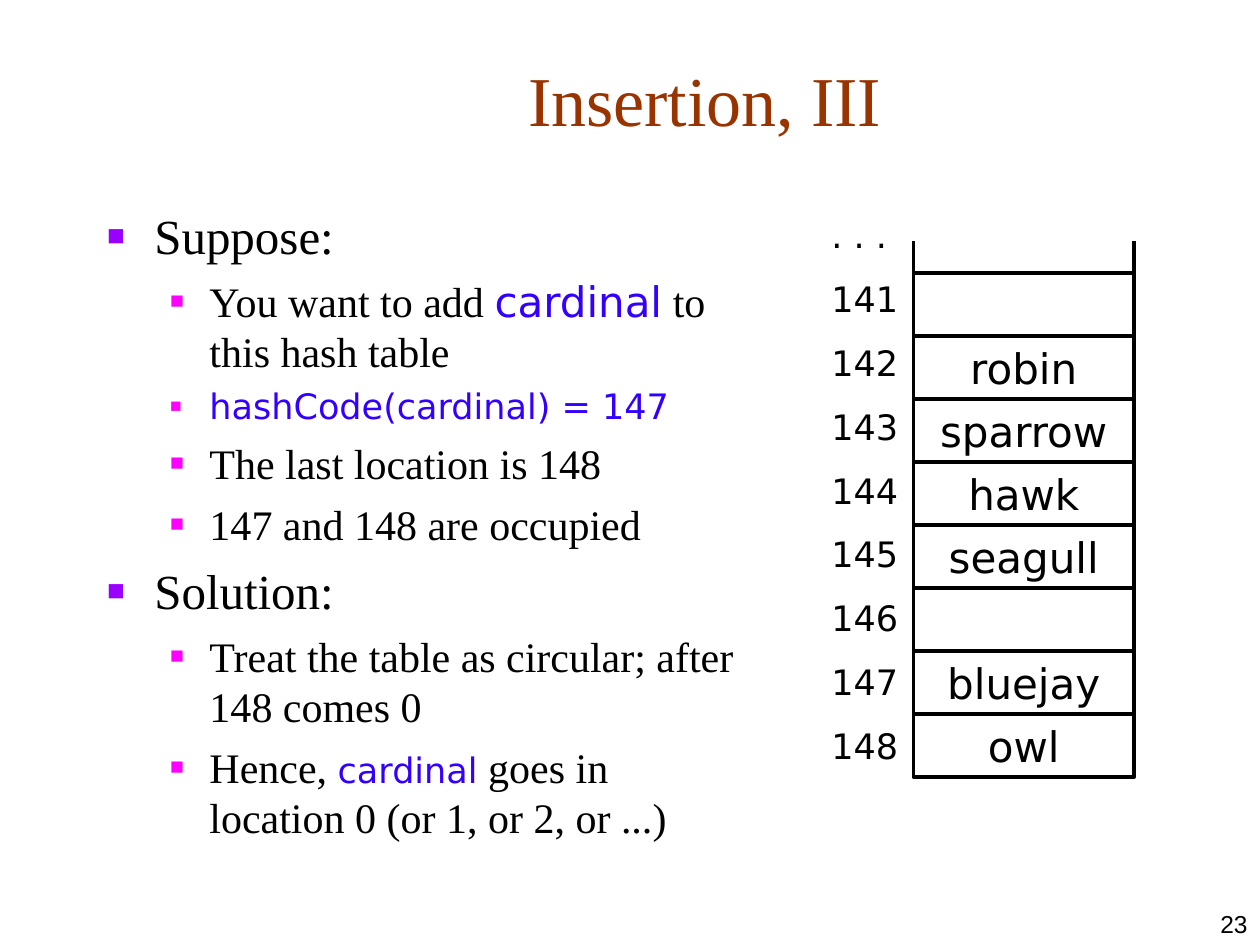
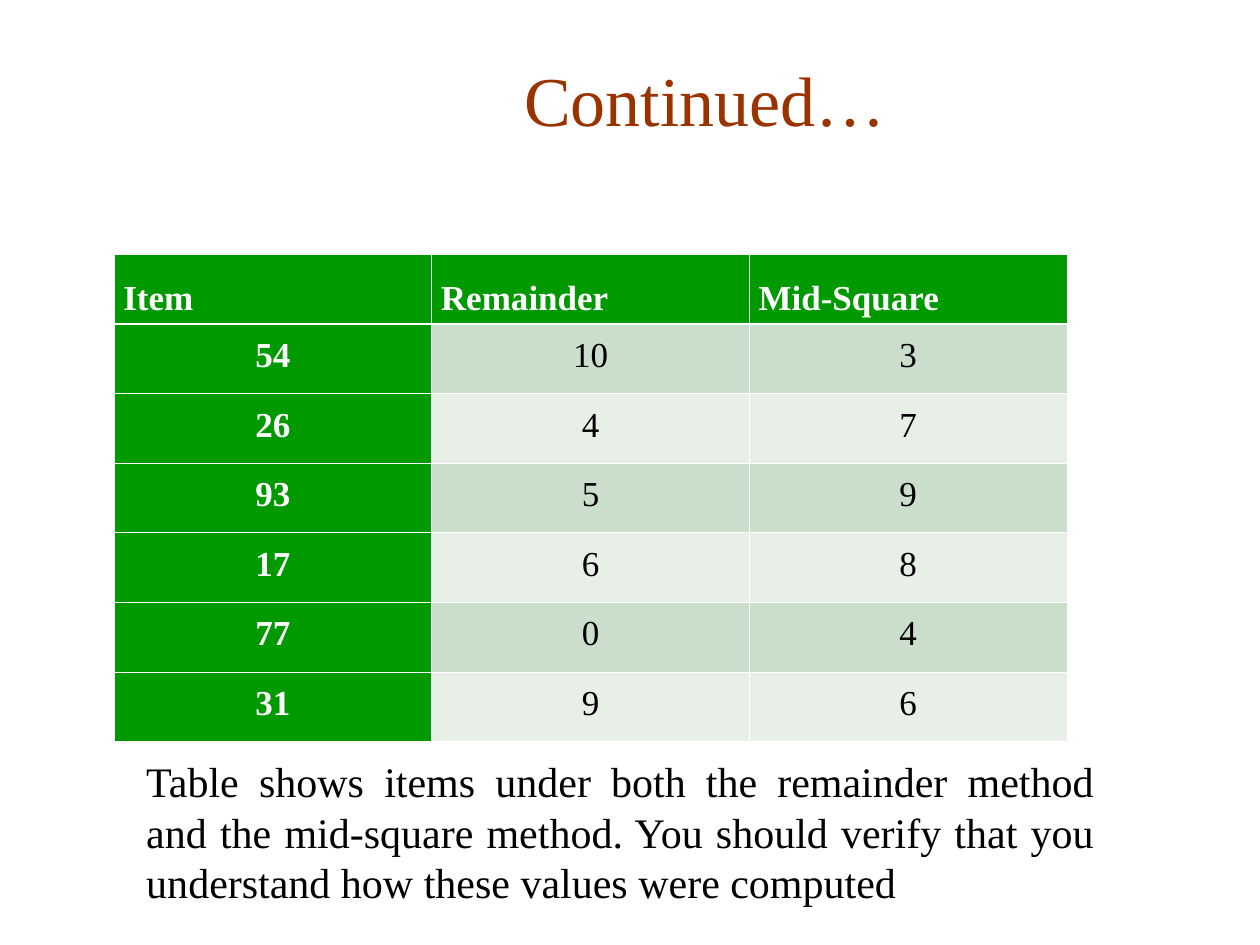
from lxml import etree
from pptx import Presentation
from pptx.dml.color import RGBColor
from pptx.enum import shapes, text
from pptx.oxml import ns
from pptx.util import Emu, Pt

PX = 9525
BLACK = RGBColor(0x00, 0x00, 0x00)
WHITE = RGBColor(0xFF, 0xFF, 0xFF)
RUST = RGBColor(0x99, 0x33, 0x00)
PURPLE = RGBColor(0x99, 0x00, 0xFF)
MAGENTA = RGBColor(0xFF, 0x00, 0xFF)
CODE_BLUE = RGBColor(0x33, 0x00, 0xFF)
GREEN = RGBColor(0x00, 0x99, 0x00)
BANDS = (RGBColor(0xCB, 0xDE, 0xCB), RGBColor(0xE7, 0xEF, 0xE7))
SERIF, SANS, PLAIN = "Times New Roman", "DejaVu Sans", "Arial"

BULLET_STYLES = (
    {"margin": 36, "indent": -36, "color": PURPLE, "percent": 60},
    {"margin": 78, "indent": -30, "color": MAGENTA, "percent": 55},
)
POINTS = (
    (0, 0, [("Suppose:", SERIF, 28)]),
    (1, 6, [("You want to add ", SERIF, 24), ("cardinal", SANS, 24),
            (" to this hash table", SERIF, 24)]),
    (1, 5, [("hashCode(cardinal) = 147", SANS, 20)]),
    (1, 6, [("The last location is 148", SERIF, 24)]),
    (1, 6, [("147 and 148 are occupied", SERIF, 24)]),
    (0, 7, [("Solution:", SERIF, 28)]),
    (1, 6, [("Treat the table as circular; after 148 comes 0", SERIF, 24)]),
    (1, 6, [("Hence, ", SERIF, 24), ("cardinal", SANS, 20),
            (" goes in location 0 (or 1, or 2, or ...)", SERIF, 24)]),
)
FIRST_LOCATION = 141
BIRDS = ("", "robin", "sparrow", "hawk", "seagull", "", "bluejay", "owl")
HASH_ROWS = (
    ("Item", "Remainder", "Mid-Square"),
    (54, 10, 3),
    (26, 4, 7),
    (93, 5, 9),
    (17, 6, 8),
    (77, 0, 4),
    (31, 9, 6),
)
CAPTION = ("Table shows items under both the remainder method and the mid-square "
           "method. You should verify that you understand how these values were computed")


def px(*lengths):
    """Turn pixel lengths into EMU."""
    return [Emu(length * PX) for length in lengths]


def style_font(font, name, size, color, bold=False):
    """Set the typeface, size, colour and weight of a font."""
    font.name, font.size, font.bold = name, Pt(size), bold
    font.color.rgb = color


def style_paragraph(paragraph, name, size, color, align=None, bold=False):
    """Format every run of a paragraph and align it."""
    paragraph.alignment = align
    for run in paragraph.runs:
        style_font(run.font, name, size, color, bold)


def add_child(parent, tag, **attributes):
    """Append a DrawingML element to its parent."""
    return etree.SubElement(parent, ns.qn(tag), attributes)


def place(shape, left, top, width, height):
    """Move and size a shape in pixels."""
    shape.left, shape.top, shape.width, shape.height = px(left, top, width, height)


def set_title(slide, words):
    """Fill the title placeholder."""
    title = slide.shapes.title
    place(title, 128, 24, 818, 88)
    frame = title.text_frame
    frame.text = words
    frame.auto_size = text.MSO_AUTO_SIZE.NONE
    frame.vertical_anchor = text.MSO_ANCHOR.BOTTOM
    style_paragraph(frame.paragraphs[0], SERIF, 40, RUST, text.PP_ALIGN.CENTER)


def set_bullet(paragraph, margin, indent, color, percent):
    """Give a paragraph a hanging square bullet."""
    properties = paragraph._p.get_or_add_pPr()
    properties.set("marL", str(margin * PX))
    properties.set("indent", str(indent * PX))
    add_child(add_child(properties, "a:buClr"), "a:srgbClr", val=str(color))
    add_child(properties, "a:buSzPct", val=str(percent * 1000))
    add_child(properties, "a:buFont", typeface=PLAIN)
    add_child(properties, "a:buChar", char="■")


def fill_body(body, points):
    """Write the two-level bulleted list."""
    place(body, 72, 152, 504, 520)
    frame = body.text_frame
    frame.auto_size = text.MSO_AUTO_SIZE.NONE
    for index, (level, space, pieces) in enumerate(points):
        paragraph = frame.add_paragraph() if index else frame.paragraphs[0]
        paragraph.level = level
        set_bullet(paragraph, **BULLET_STYLES[level])
        paragraph.space_before = Pt(space)
        for words, name, size in pieces:
            run = paragraph.add_run()
            run.text = words
            style_font(run.font, name, size, CODE_BLUE if name == SANS else BLACK)


def add_text(parent, box, words, name, size, align=None, gap=0):
    """Add a wrapping text box with one paragraph per line of words."""
    frame = parent.add_textbox(*px(*box)).text_frame
    frame.word_wrap = True
    frame.text = words
    for index, paragraph in enumerate(frame.paragraphs):
        style_paragraph(paragraph, name, size, BLACK, align)
        paragraph.space_before = Pt(gap if index else 0)
    return frame


def add_bucket(parent, box, word):
    """Add one outlined location of the hash table."""
    bucket = parent.add_shape(shapes.MSO_SHAPE.FLOWCHART_PROCESS, *px(*box))
    bucket.shadow.inherit = False
    bucket.fill.background()
    bucket.line.color.rgb = BLACK
    bucket.line.width = Pt(2.25)
    if word:
        frame = bucket.text_frame
        frame.text = word
        frame.word_wrap = False
        frame.vertical_anchor = text.MSO_ANCHOR.MIDDLE
        style_paragraph(frame.paragraphs[0], SANS, 24, BLACK, text.PP_ALIGN.CENTER)


def add_wall(parent, x, bottom, top):
    """Add a vertical side line."""
    wall = parent.add_connector(shapes.MSO_CONNECTOR.STRAIGHT, *px(x, bottom, x, top))
    wall.line.color.rgb = BLACK
    wall.line.width = Pt(2.25)
    add_child(wall._element.spPr, "a:effectLst")


def add_hash_table(slide):
    """Draw the open-topped column of locations with their numbers."""
    left, top, width, height = 696, 208, 168, 48
    parts = slide.shapes.add_group_shape().shapes
    for row, bird in enumerate(BIRDS):
        add_bucket(parts, (left, top + row * height, width, height), bird)
    numbers = [str(FIRST_LOCATION + row) for row in range(len(BIRDS))]
    add_text(parts, (624, 158, 72, 480), "\n".join([". . ."] + numbers), SANS, 20, gap=12.5)
    for x in (left, left + width):
        add_wall(parts, x, top + len(BIRDS) * height, top - height // 2)


def set_borders(cell, **widths):
    """Draw white cell borders with widths in points."""
    properties = cell._tc.get_or_add_tcPr()
    for side in ("L", "R", "T", "B"):
        width = Pt(widths.get(side, 0.45))
        line = add_child(properties, f"a:ln{side}", w=str(width))
        add_child(add_child(line, "a:solidFill"), "a:srgbClr", val=str(WHITE))


def fill_cell(cell, value, row, column):
    """Write and format one cell by its place in the table."""
    header, strong = row == 0, row == 0 or column == 0
    set_borders(cell, **({0: {"B": 1.47}, 1: {"T": 1.47}}.get(row, {})))
    cell.fill.solid()
    cell.fill.fore_color.rgb = GREEN if strong else BANDS[(row - 1) % 2]
    cell.margin_left, cell.margin_right = px(7, 7)
    cell.vertical_anchor = text.MSO_ANCHOR.BOTTOM if header else text.MSO_ANCHOR.TOP
    cell.text_frame.text = str(value)
    paragraph = cell.text_frame.paragraphs[0]
    paragraph.line_spacing = 1.15
    align = text.PP_ALIGN.LEFT if header else text.PP_ALIGN.CENTER
    style_paragraph(paragraph, SERIF, 20, WHITE if strong else BLACK, align, strong)


def add_value_table(slide, rows):
    """Add the table of items and their hash values."""
    frame = slide.shapes.add_table(len(rows), len(rows[0]), *px(87, 194, 726, 370))
    table = frame.table
    for row, values in enumerate(rows):
        table.rows[row].height = px(53)[0]
        for column, value in enumerate(values):
            fill_cell(table.cell(row, column), value, row, column)


def add_insertion_slide(presentation):
    """Build the slide on circular insertion."""
    slide = presentation.slides.add_slide(presentation.slide_layouts[1])
    set_title(slide, "Insertion, III")
    fill_body(slide.placeholders[1], POINTS)
    add_hash_table(slide)
    number = add_text(slide.shapes, (760, 672, 200, 48), "23", PLAIN, 14, text.PP_ALIGN.RIGHT)
    number.vertical_anchor = text.MSO_ANCHOR.BOTTOM


def add_methods_slide(presentation):
    """Build the slide comparing the two hash methods."""
    slide = presentation.slides.add_slide(presentation.slide_layouts[5])
    set_title(slide, "Continued…")
    add_value_table(slide, HASH_ROWS)
    add_text(slide.shapes, (102, 571, 741, 125), CAPTION, SERIF, 24, text.PP_ALIGN.JUSTIFY)


def main():
    """Build and save the presentation."""
    presentation = Presentation()
    presentation.slide_width, presentation.slide_height = px(960, 720)
    add_insertion_slide(presentation)
    add_methods_slide(presentation)
    presentation.save("out.pptx")


if __name__ == "__main__":
    main()
